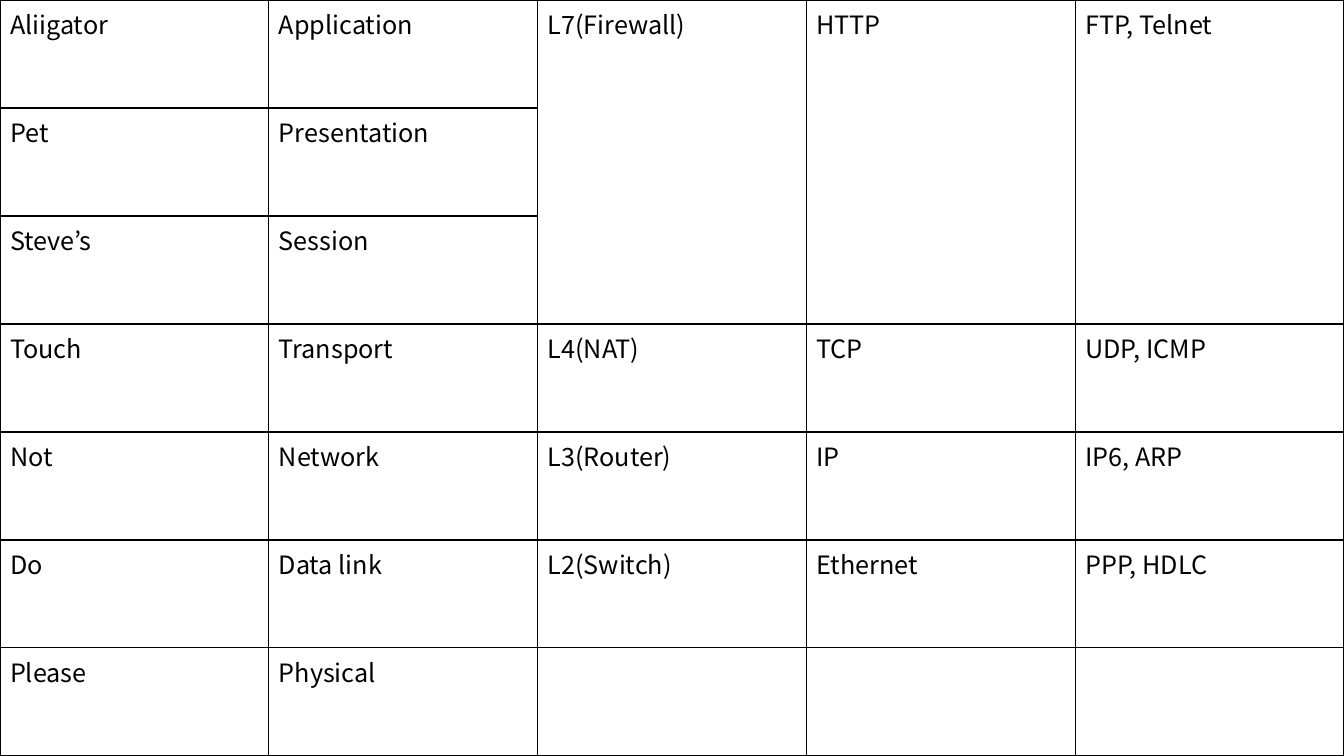
from dataclasses import dataclass

from lxml.etree import SubElement as Sub
from pptx import Presentation
from pptx.dml.color import RGBColor as Color
from pptx.oxml.ns import qn
from pptx.util import Inches, Pt


@dataclass(frozen=True)
class Theme:
    font: str = "Noto Sans CJK KR"
    size: int = 18
    ink: str = "000000"
    paper: str = "FFFFFF"
    rule: int = 1


THEME = Theme()
WIDTH, HEIGHT = 13.33, 7.5
LAYERS = [
    ("Aliigator", "Application", "L7(Firewall)", "HTTP", "FTP, Telnet"),
    ("Pet", "Presentation", "", "", ""),
    ("Steve’s", "Session", "", "", ""),
    ("Touch", "Transport", "L4(NAT)", "TCP", "UDP, ICMP"),
    ("Not", "Network", "L3(Router)", "IP", "IP6, ARP"),
    ("Do", "Data link", "L2(Switch)", "Ethernet", "PPP, HDLC"),
    ("Please", "Physical", "", "", ""),
]
MERGED = range(2, 5)
TOP, LAST = 0, 2


def add_text(cell, text):
    run = cell.text_frame.paragraphs[0].add_run()
    run.text = text
    run.font.name = THEME.font
    run.font.size = Pt(THEME.size)
    run.font.color.rgb = Color.from_string(THEME.ink)


def add_rules(cell):
    props = cell._tc.get_or_add_tcPr()
    for side in ("lnL", "lnR", "lnT", "lnB"):
        line = Sub(props, qn(f"a:{side}"), w=str(Pt(THEME.rule)))
        fill = Sub(line, qn("a:solidFill"))
        Sub(fill, qn("a:srgbClr"), val=THEME.ink)


def style_cell(cell, text):
    add_rules(cell)
    cell.fill.solid()
    cell.fill.fore_color.rgb = Color.from_string(THEME.paper)
    if text:
        add_text(cell, text)


def add_grid(slide, rows):
    count, width = len(rows), len(rows[0])
    frame = slide.shapes.add_table(
        count, width, Inches(0), Inches(0), Inches(WIDTH), Inches(HEIGHT)
    )
    table = frame.table
    table.first_row = False
    table.horz_banding = False
    for col in table.columns:
        col.width = Inches(WIDTH / width)
    for row in table.rows:
        row.height = Inches(HEIGHT / count)
    for y, row in enumerate(rows):
        for x, text in enumerate(row):
            style_cell(table.cell(y, x), text)
    return table


def main():
    deck = Presentation()
    deck.slide_width = Inches(WIDTH)
    deck.slide_height = Inches(HEIGHT)
    slide = deck.slides.add_slide(deck.slide_layouts[6])
    table = add_grid(slide, LAYERS)
    for x in MERGED:
        table.cell(TOP, x).merge(table.cell(LAST, x))
    deck.save("out.pptx")


if __name__ == "__main__":
    main()
